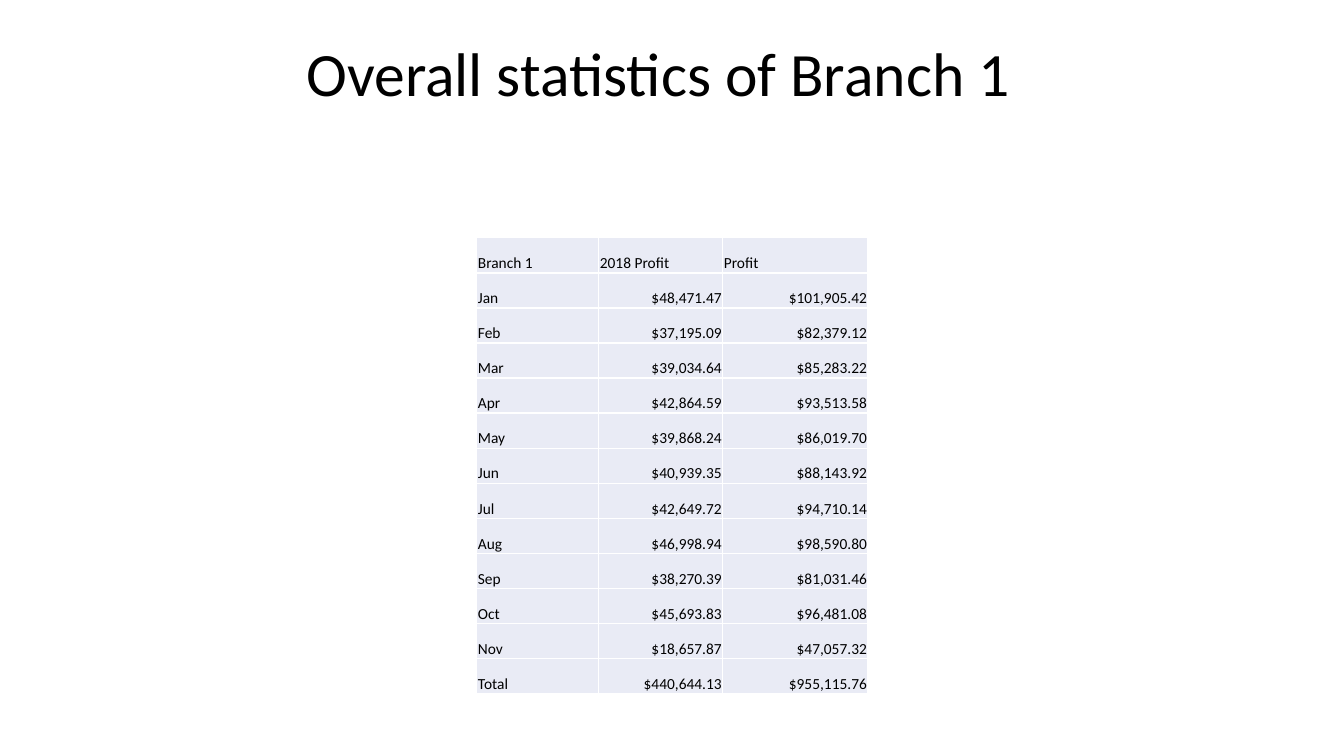
from typing import NamedTuple

from lxml.etree import SubElement
from pptx import Presentation
from pptx.dml.color import RGBColor
from pptx.enum.text import MSO_ANCHOR, MSO_AUTO_SIZE, PP_ALIGN
from pptx.oxml.ns import qn
from pptx.slide import Slide
from pptx.table import _Cell
from pptx.text.text import _Paragraph
from pptx.util import Inches, Pt

BLACK = RGBColor(0x00, 0x00, 0x00)
WHITE = RGBColor(0xFF, 0xFF, 0xFF)
PALE_BLUE = RGBColor(0xE9, 0xEB, 0xF5)
FONT_NAME = "Calibri"
COLUMN_WIDTHS = (1.21, 1.23, 1.44)


class ProfitRow(NamedTuple):
    label: str
    profit_2018: str
    profit: str


PROFIT_ROWS = (
    ProfitRow("Branch 1", "2018 Profit", "Profit"),
    ProfitRow("Jan", "$48,471.47", "$101,905.42"),
    ProfitRow("Feb", "$37,195.09", "$82,379.12"),
    ProfitRow("Mar", "$39,034.64", "$85,283.22"),
    ProfitRow("Apr", "$42,864.59", "$93,513.58"),
    ProfitRow("May", "$39,868.24", "$86,019.70"),
    ProfitRow("Jun", "$40,939.35", "$88,143.92"),
    ProfitRow("Jul", "$42,649.72", "$94,710.14"),
    ProfitRow("Aug", "$46,998.94", "$98,590.80"),
    ProfitRow("Sep", "$38,270.39", "$81,031.46"),
    ProfitRow("Oct", "$45,693.83", "$96,481.08"),
    ProfitRow("Nov", "$18,657.87", "$47,057.32"),
    ProfitRow("Total", "$440,644.13", "$955,115.76"),
)


def add_text_run(paragraph: _Paragraph, text: str, size: float) -> None:
    run = paragraph.add_run()
    run.text = text
    run.font.name = FONT_NAME
    run.font.size = Pt(size)
    run.font.color.rgb = BLACK


def add_cell_borders(cell: _Cell) -> None:
    """Draw all four borders; call before filling, as the XML order requires."""
    properties = cell._tc.get_or_add_tcPr()
    for side in ("lnL", "lnR", "lnT", "lnB"):
        line = SubElement(properties, qn(f"a:{side}"), w=str(Pt(1)))
        fill = SubElement(line, qn("a:solidFill"))
        SubElement(fill, qn("a:srgbClr"), val=str(WHITE))


def fill_cell(cell: _Cell, text: str, alignment: PP_ALIGN) -> None:
    cell.margin_left = cell.margin_right = cell.margin_top = Inches(0.01)
    cell.margin_bottom = 0
    cell.vertical_anchor = MSO_ANCHOR.BOTTOM
    add_cell_borders(cell)
    cell.fill.solid()
    cell.fill.fore_color.rgb = PALE_BLUE
    paragraph = cell.text_frame.paragraphs[0]
    paragraph.alignment = alignment
    add_text_run(paragraph, text, 11)


def add_profit_table(slide: Slide) -> None:
    table = slide.shapes.add_table(
        len(PROFIT_ROWS), len(COLUMN_WIDTHS),
        Inches(4.73), Inches(2.36), Inches(sum(COLUMN_WIDTHS)), Inches(4.52),
    ).table
    table.first_row = False
    table.horz_banding = False
    for column, width in zip(table.columns, COLUMN_WIDTHS):
        column.width = Inches(width)
    for row_index, profit_row in enumerate(PROFIT_ROWS):
        for column_index, text in enumerate(profit_row):
            is_amount = row_index > 0 and column_index > 0
            alignment = PP_ALIGN.RIGHT if is_amount else PP_ALIGN.LEFT
            fill_cell(table.cell(row_index, column_index), text, alignment)


def add_title(slide: Slide) -> None:
    title = slide.shapes.add_textbox(Inches(2.94), Inches(0.3), Inches(8.01), Inches(0.84))
    title.text_frame.word_wrap = True
    title.text_frame.auto_size = MSO_AUTO_SIZE.SHAPE_TO_FIT_TEXT
    add_text_run(title.text_frame.paragraphs[0], "Overall statistics of Branch 1", 44)


def main() -> None:
    presentation = Presentation()
    presentation.slide_width = Inches(13.33)
    presentation.slide_height = Inches(7.5)
    slide = presentation.slides.add_slide(presentation.slide_layouts[6])
    add_profit_table(slide)
    add_title(slide)
    presentation.save("out.pptx")


if __name__ == "__main__":
    main()
